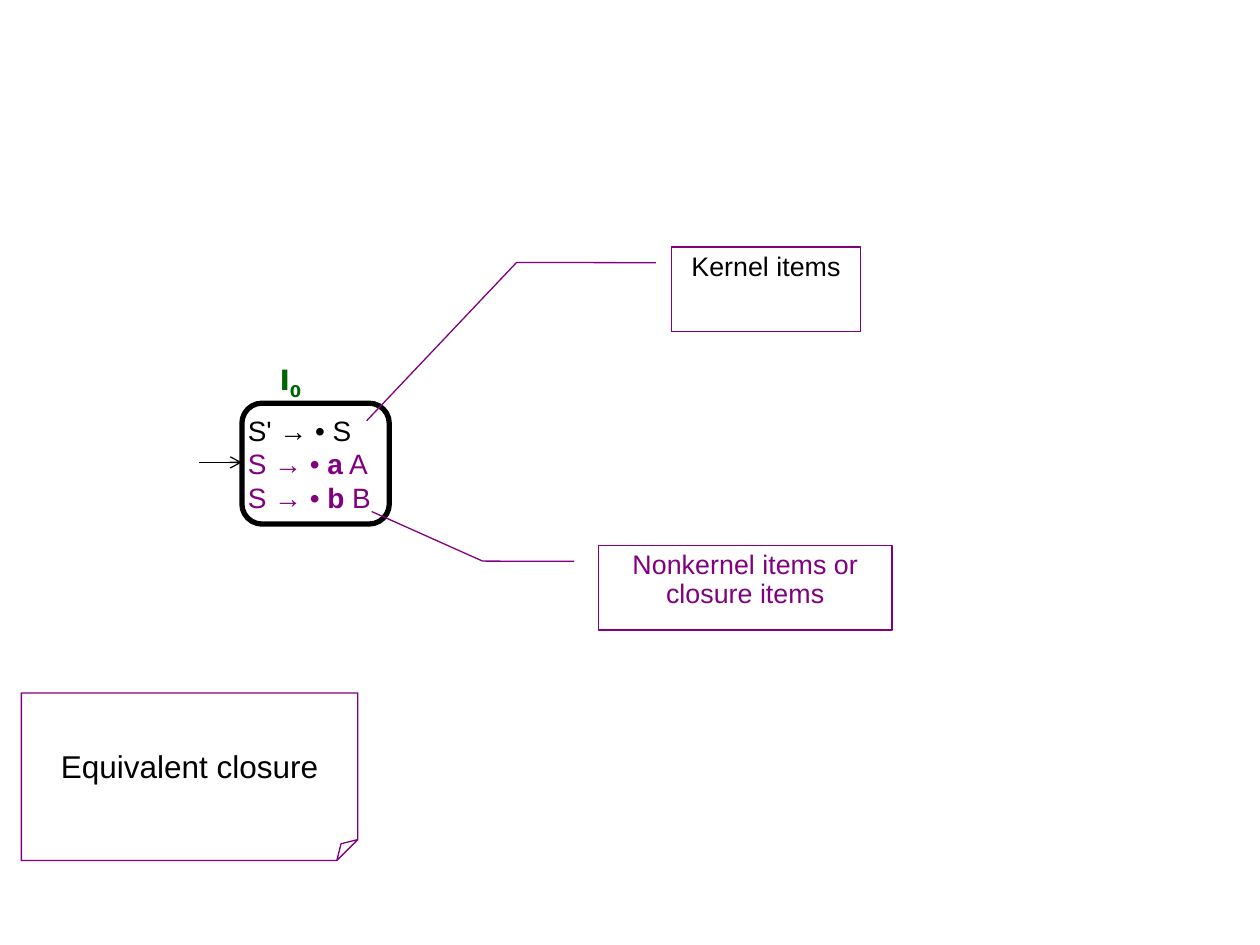
from dataclasses import dataclass
from pptx import Presentation
from pptx.dml.color import RGBColor
from pptx.enum import shapes, text
from pptx.oxml import ns
from pptx.util import Inches, Pt
from lxml import etree


@dataclass(frozen=True)
class Theme:
    """Colours, fonts, type sizes and line widths."""
    black: str = "000000"
    white: str = "FFFFFF"
    purple: str = "800080"
    green: str = "006600"
    sans: str = "Arial"
    label: str = "DejaVu Sans"
    item: float = 16
    note: float = 18
    call: float = 15.3
    thin: float = 0.75
    thick: float = 3


T = Theme()
KIND = shapes.MSO_SHAPE
TOP, MID = text.MSO_ANCHOR.TOP, text.MSO_ANCHOR.MIDDLE
LEFT, CENTER = text.PP_ALIGN.LEFT, text.PP_ALIGN.CENTER


def place(box):
    """Turn a box in inches into lengths."""
    return [Inches(v) for v in box]


def add_run(para, words, size, color, font=T.sans, bold=False):
    """Add one formatted run."""
    run = para.add_run()
    run.text = words
    run.font.size, run.font.name, run.font.bold = Pt(size), font, bold
    run.font.color.rgb = RGBColor.from_string(color)
    return run


def set_frame(frame, wrap, anchor, pad):
    """Set wrapping, anchor and side and end insets."""
    frame.word_wrap, frame.vertical_anchor = wrap, anchor
    frame.margin_left = frame.margin_right = Inches(pad[0])
    frame.margin_top = frame.margin_bottom = Inches(pad[1])


def set_guides(form, adj):
    """Write the adjustment values of a preset shape."""
    guides = form._element.spPr.find(ns.qn("a:prstGeom")).get_or_add_avLst()
    for old in list(guides):
        guides.remove(old)
    for i, value in enumerate(adj, 1):
        name = f"adj{i}" if len(adj) > 1 else "adj"
        etree.SubElement(guides, ns.qn("a:gd"), name=name,
                         fmla=f"val {round(value * 100000)}")


def add_form(owner, kind, box, adj, color, width, fill=None):
    """Add an outlined preset shape."""
    form = owner.add_shape(kind, *place(box))
    form.shadow.inherit = False
    set_guides(form, adj)
    if fill:
        form.fill.solid()
        form.fill.fore_color.rgb = RGBColor.from_string(fill)
    else:
        form.fill.background()
    form.line.color.rgb = RGBColor.from_string(color)
    form.line.width = Pt(width)
    return form


def add_arrow(owner, start, end):
    """Add a thin line with an open arrowhead."""
    line = owner.add_connector(shapes.MSO_CONNECTOR.STRAIGHT, *place(start + end))
    line.line.color.rgb = RGBColor.from_string(T.black)
    line.line.width = Pt(T.thin)
    props = line._element.spPr
    etree.SubElement(props.find(ns.qn("a:ln")), ns.qn("a:tailEnd"), type="arrow")
    etree.SubElement(props, ns.qn("a:effectLst"))


def add_state(slide, box, index, items):
    """Add an item-set state with its label and entry arrow."""
    left, top, _, height = box
    group = slide.shapes.add_group_shape().shapes
    frame = add_form(group, KIND.ROUNDED_RECTANGLE, box, [0.167],
                     T.black, T.thick, T.white).text_frame
    set_frame(frame, False, MID, (0, 0))
    for i, (color, runs) in enumerate(items):
        para = frame.add_paragraph() if i else frame.paragraphs[0]
        para.alignment = LEFT
        for words, bold in runs:
            add_run(para, words, T.item, color, bold=bold)

    name = group.add_textbox(*place((left + 0.2, top - 0.37, 0.75, 0.41)))
    set_frame(name.text_frame, True, TOP, (0.1, 0.05))
    para = name.text_frame.paragraphs[0]
    add_run(para, "I", T.item, T.green, T.label, True)
    sub = add_run(para, index, T.item, T.green, T.label, True)
    sub._r.get_or_add_rPr().set("baseline", "-25000")

    mid = top + height / 2 - 0.01
    add_arrow(group, (left - 0.34, mid), (left, mid))


def add_note(slide, box, words):
    """Add a note with a folded corner."""
    frame = add_form(slide.shapes, KIND.FOLDED_CORNER, box, [0.125],
                     T.purple, T.thin).text_frame
    set_frame(frame, False, MID, (0.1, 0.05))
    frame.paragraphs[0].alignment = CENTER
    add_run(frame.paragraphs[0], words, T.note, T.black)


def add_callout(slide, box, bend, tip, words, color):
    """Add a bordered callout whose leader bends and ends at the tip."""
    left, top, width, height = box
    adj = [0.188, -0.083, 0.185, (bend - left) / width,
           (tip[1] - top) / height, (tip[0] - left) / width]
    frame = add_form(slide.shapes, KIND.LINE_CALLOUT_2, box, adj,
                     T.purple, T.thin).text_frame
    set_frame(frame, True, TOP, (0.1, 0.05))
    para = frame.paragraphs[0]
    para.alignment, para.line_spacing = CENTER, 0.9
    add_run(para, words, T.call, color)


def main():
    """Build and save the slide."""
    deck = Presentation()
    deck.slide_width, deck.slide_height = Inches(10), Inches(7.5)
    slide = deck.slides.add_slide(deck.slide_layouts[6])
    items = [(T.black, [("S' → • S", False)])]
    for sign, rest in (("a", " A"), ("b", " B")):
        items.append((T.purple, [("S → • ", False), (sign, True), (rest, False)]))
    add_state(slide, (1.92, 3.2, 1.17, 0.96), "0", items)
    add_note(slide, (0.17, 5.5, 2.67, 1.33), "Equivalent closure")
    add_callout(slide, (5.33, 1.96, 1.5, 0.67), 4.1, (2.91, 3.34),
                "Kernel items", T.black)
    add_callout(slide, (4.75, 4.33, 2.33, 0.67), 3.83, (2.95, 4.06),
                "Nonkernel items or closure items", T.purple)
    deck.save("out.pptx")


if __name__ == "__main__":
    main()
